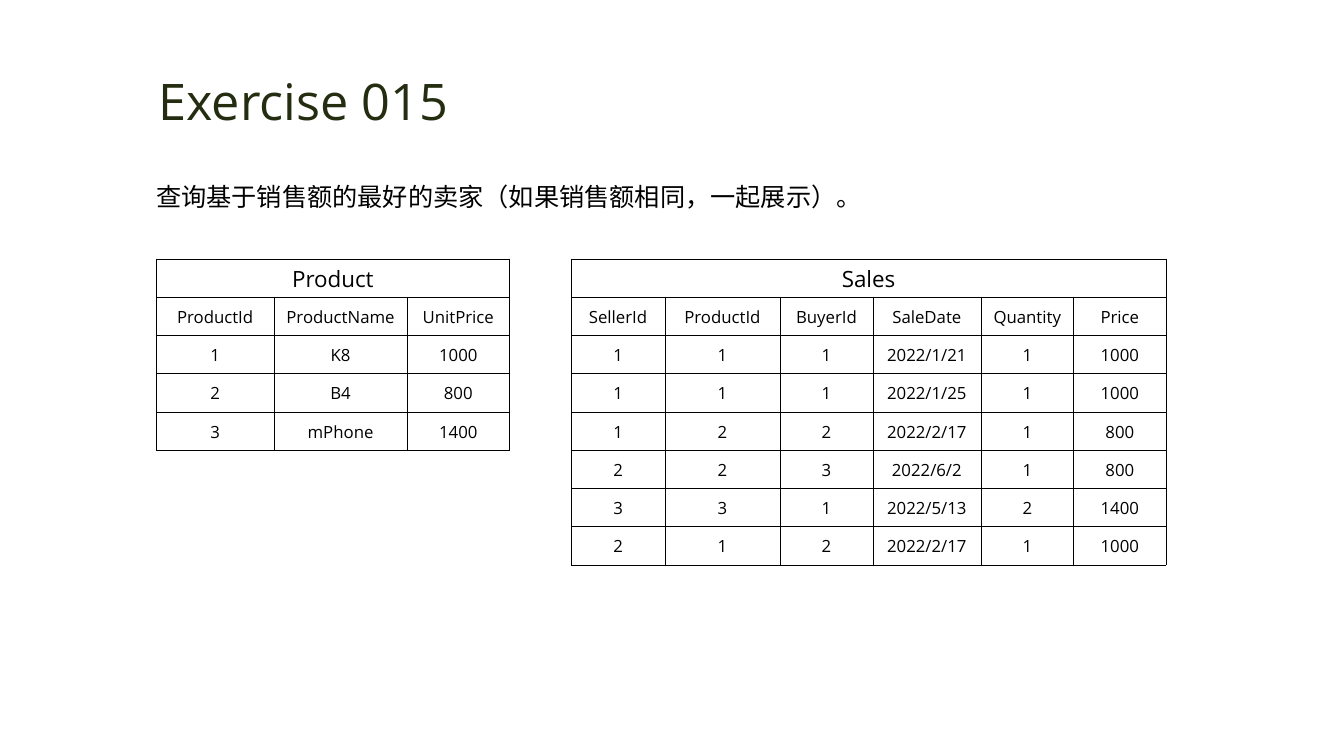
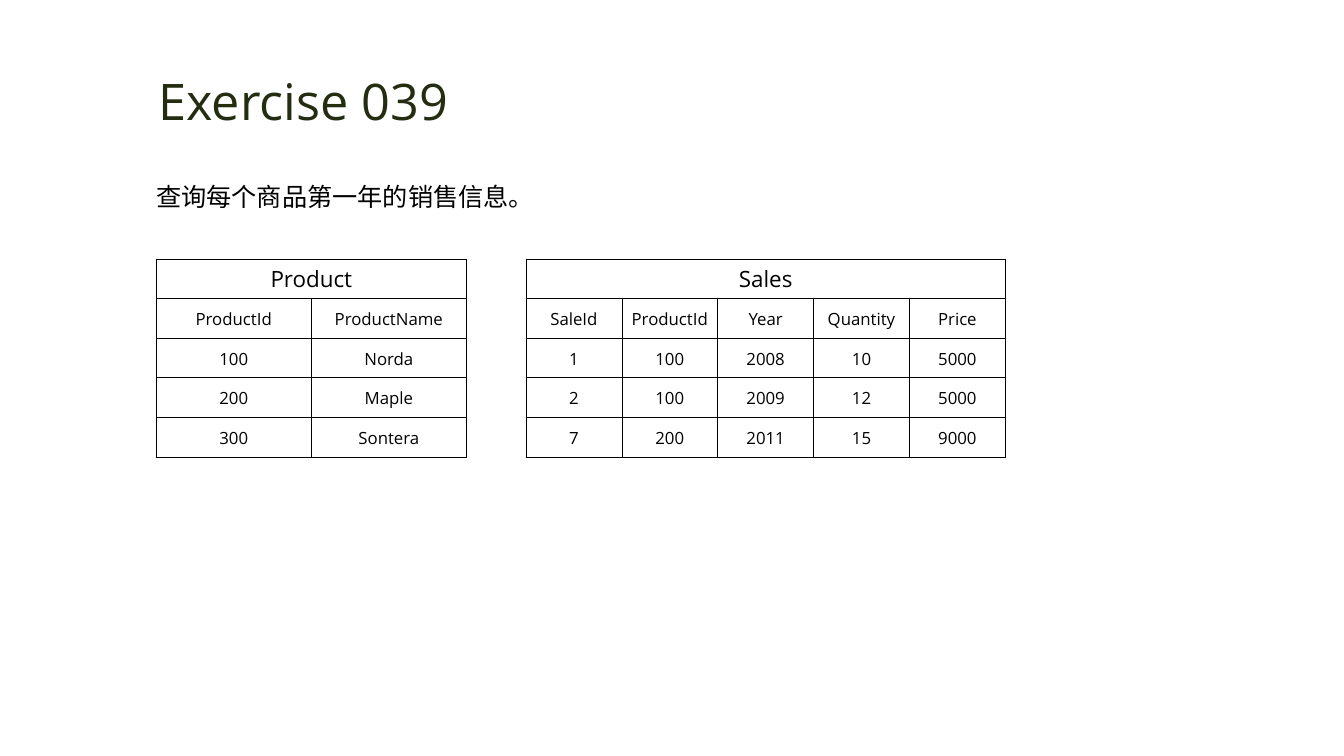
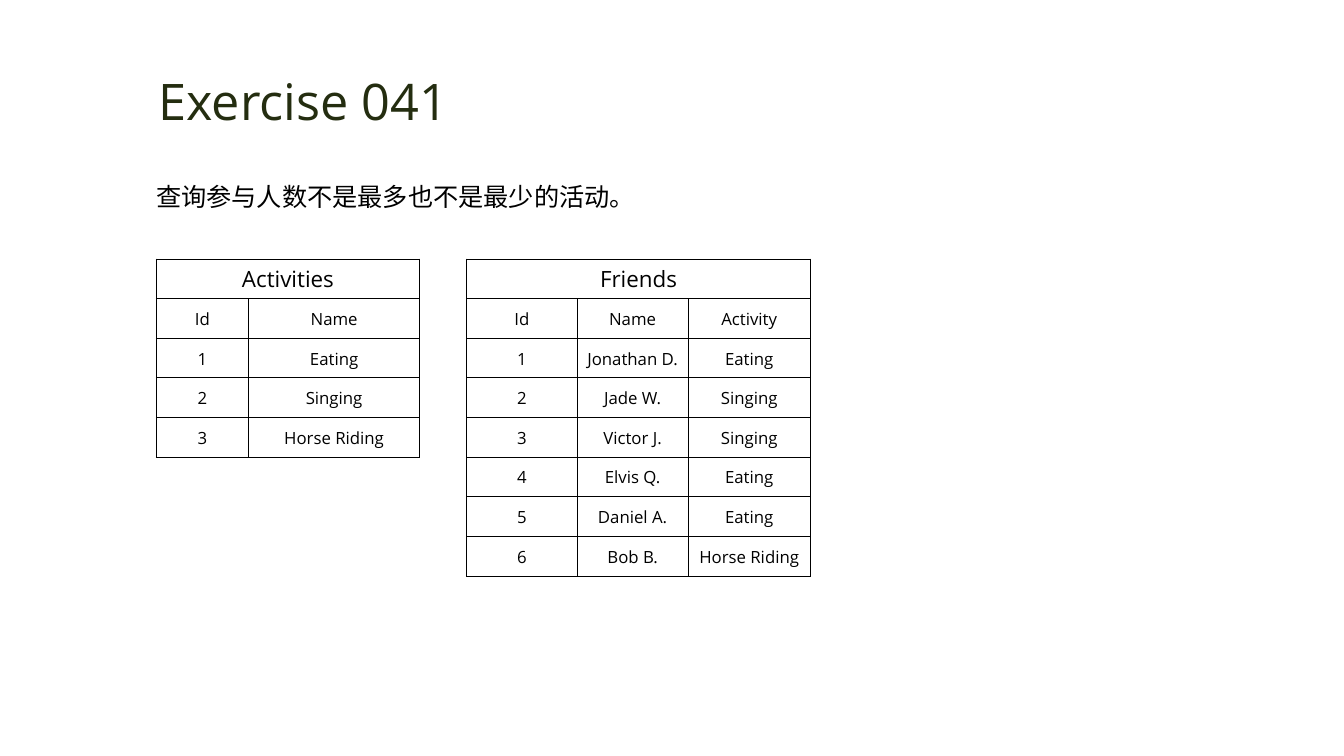
from lxml.etree import SubElement
from pptx import Presentation
from pptx.dml.color import RGBColor
from pptx.enum.text import MSO_ANCHOR as Anchor, PP_ALIGN as Align
from pptx.oxml.ns import qn
from pptx.util import Pt

FONT = "Open Sans"
COLORS = {"title": "242D10", "text": "000000", "border": "000000"}
TABLES_LEFT, TABLES_TOP = 111.6, 185

EXERCISES = [
    {
        "title": "Exercise 015",
        "question": "查询基于销售额的最好的卖家（如果销售额相同，一起展示）。",
        "question_width": 513.4,
        "row_height": 27.33,
        "gap": 44,
        "tables": [
            ("Product", [84.2, 95, 73.2], [
                ["ProductId", "ProductName", "UnitPrice"],
                ["1", "K8", "1000"],
                ["2", "B4", "800"],
                ["3", "mPhone", "1400"],
            ]),
            ("Sales", [67, 82.2, 66.4, 77.1, 66.4, 65.8], [
                ["SellerId", "ProductId", "BuyerId", "SaleDate", "Quantity", "Price"],
                ["1", "1", "1", "2022/1/21", "1", "1000"],
                ["1", "1", "1", "2022/1/25", "1", "1000"],
                ["1", "2", "2", "2022/2/17", "1", "800"],
                ["2", "2", "3", "2022/6/2", "1", "800"],
                ["3", "3", "1", "2022/5/13", "2", "1400"],
                ["2", "1", "2", "2022/2/17", "1", "1000"],
            ]),
        ],
    },
    {
        "title": "Exercise 039",
        "question": "查询每个商品第一年的销售信息。",
        "question_width": 376.6,
        "row_height": 28.3,
        "gap": 42.5,
        "tables": [
            ("Product", [110.8] * 2, [
                ["ProductId", "ProductName"],
                ["100", "Norda"],
                ["200", "Maple"],
                ["300", "Sontera"],
            ]),
            ("Sales", [68.5] * 5, [
                ["SaleId", "ProductId", "Year", "Quantity", "Price"],
                ["1", "100", "2008", "10", "5000"],
                ["2", "100", "2009", "12", "5000"],
                ["7", "200", "2011", "15", "9000"],
            ]),
        ],
    },
    {
        "title": "Exercise 041",
        "question": "查询参与人数不是最多也不是最少的活动。",
        "question_width": 376.6,
        "row_height": 28.3,
        "gap": 33.5,
        "tables": [
            ("Activities", [66, 122.2], [
                ["Id", "Name"],
                ["1", "Eating"],
                ["2", "Singing"],
                ["3", "Horse Riding"],
            ]),
            ("Friends", [79, 79.2, 87.4], [
                ["Id", "Name", "Activity"],
                ["1", "Jonathan D.", "Eating"],
                ["2", "Jade W.", "Singing"],
                ["3", "Victor J.", "Singing"],
                ["4", "Elvis Q.", "Eating"],
                ["5", "Daniel A.", "Eating"],
                ["6", "Bob B.", "Horse Riding"],
            ]),
        ],
    },
]


def write(paragraph, text, size, color, align):
    paragraph.text = text
    paragraph.alignment = align
    font = paragraph.font
    font.name, font.size = FONT, Pt(size)
    font.color.rgb = RGBColor.from_string(COLORS[color])


def add_text(slide, box, text, size, color, align, wrap, anchor):
    frame = slide.shapes.add_textbox(*map(Pt, box)).text_frame
    frame.word_wrap = wrap
    frame.vertical_anchor = anchor
    paragraph = frame.paragraphs[0]
    write(paragraph, text, size, color, align)
    return paragraph


def style_cell(cell):
    """Thin border on every side, no fill, hairline margins."""
    cell.margin_left = cell.margin_top = cell.margin_right = Pt(0.7)
    cell.margin_bottom = 0
    cell.vertical_anchor = Anchor.MIDDLE
    properties = cell._tc.get_or_add_tcPr()
    for side in ("lnL", "lnR", "lnT", "lnB"):
        border = SubElement(properties, qn(f"a:{side}"), w=str(Pt(0.5)))
        fill = SubElement(border, qn("a:solidFill"))
        SubElement(fill, qn("a:srgbClr"), val=COLORS["border"])
    cell.fill.background()


def add_data_table(slide, left, top, row_height, name, widths, records):
    """Table with its name merged across the first row; returns its width."""
    row_count = len(records) + 1
    table = slide.shapes.add_table(
        row_count, len(widths), Pt(left), Pt(top),
        Pt(sum(widths)), Pt(row_height * row_count)).table
    table.first_row = table.horz_banding = False
    for column, width in zip(table.columns, widths):
        column.width = Pt(width)
    for row in table.rows:
        row.height = Pt(row_height)
    for cell in table.iter_cells():
        style_cell(cell)

    # Name row
    heading = table.cell(0, 0)
    heading.merge(table.cell(0, len(widths) - 1))
    write(heading.text_frame.paragraphs[0], name, 16, "text", Align.CENTER)

    # Field names and records
    for r, record in enumerate(records, start=1):
        for c, value in enumerate(record):
            paragraph = table.cell(r, c).text_frame.paragraphs[0]
            write(paragraph, value, 12, "text", Align.CENTER)
    return sum(widths)


def add_exercise(deck, exercise):
    slide = deck.slides.add_slide(deck.slide_layouts[6])

    # Title and question
    add_text(slide, (100, 46, 233.4, 51), exercise["title"], 36, "title",
             Align.CENTER, False, Anchor.MIDDLE)
    question = add_text(slide, (104.4, 115.2, exercise["question_width"], 36.7),
                        exercise["question"], 18, "text",
                        Align.LEFT, True, Anchor.TOP)
    question.line_spacing = 1.5

    # Tables side by side
    left = TABLES_LEFT
    for name, widths, records in exercise["tables"]:
        left += exercise["gap"] + add_data_table(
            slide, left, TABLES_TOP, exercise["row_height"], name, widths, records)


def main():
    deck = Presentation()
    deck.slide_width, deck.slide_height = Pt(960), Pt(540)
    for exercise in EXERCISES:
        add_exercise(deck, exercise)
    deck.save("out.pptx")


if __name__ == "__main__":
    main()
